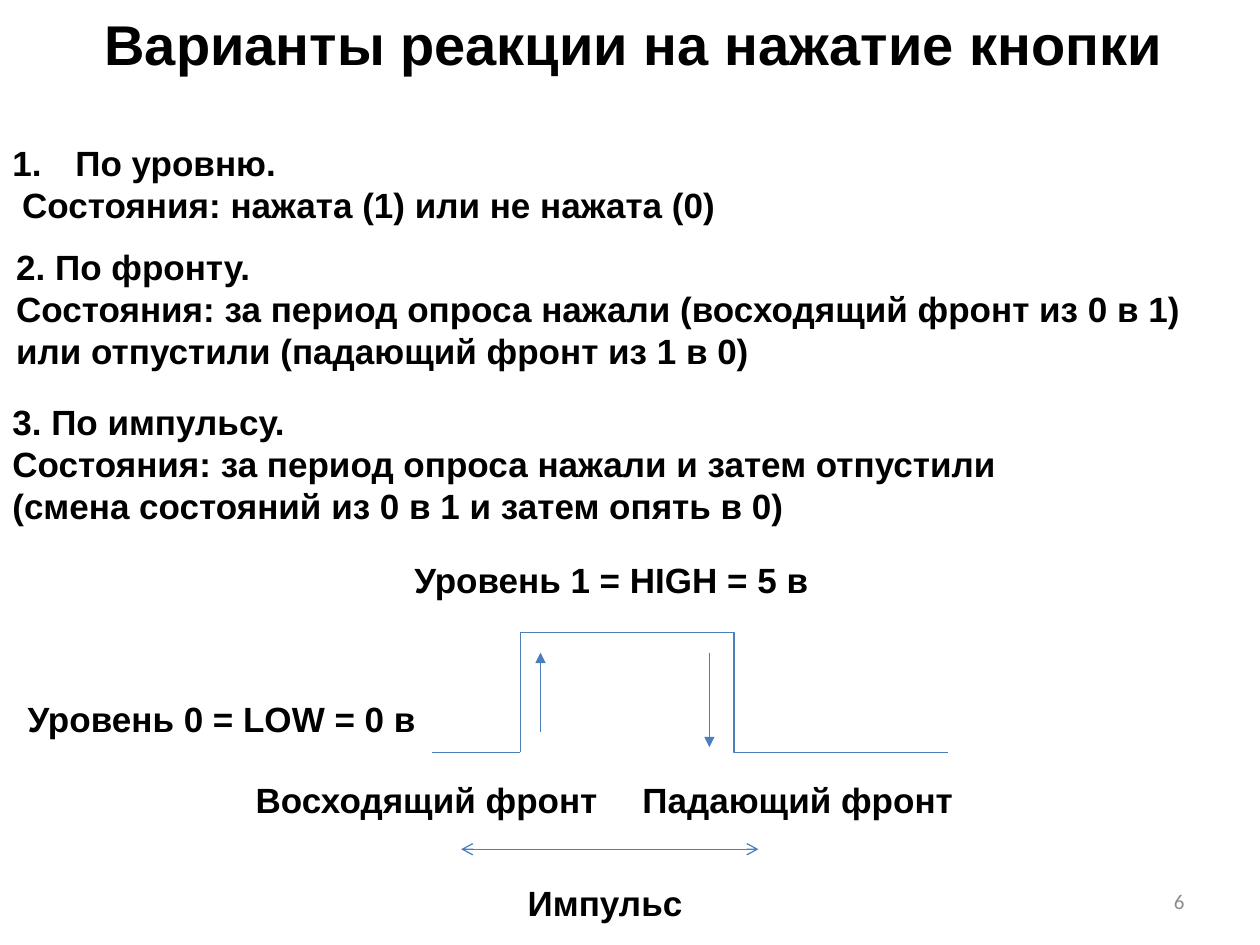
"""Build the slide on ways to react to a button press."""
from dataclasses import dataclass

from lxml import etree
from pptx import Presentation
from pptx.dml.color import RGBColor
from pptx.enum.shapes import MSO_CONNECTOR
from pptx.enum.text import MSO_ANCHOR, PP_ALIGN
from pptx.oxml.ns import qn
from pptx.util import Inches, Pt

LEFT, CENTER, RIGHT = PP_ALIGN.LEFT, PP_ALIGN.CENTER, PP_ALIGN.RIGHT
TOP, MIDDLE = MSO_ANCHOR.TOP, MSO_ANCHOR.MIDDLE
LINE, ELBOW = MSO_CONNECTOR.STRAIGHT, MSO_CONNECTOR.ELBOW
BLACK, GRAY, BLUE = "000000", "8C8C8C", "4B7EBC"
START, RISE, END = 3.43, 4.13, 7.52
HIGH, LOW = 5.02, 5.97


@dataclass
class Label:
    """Text lines with their place and style."""
    box: tuple[float, float, float, float]
    lines: list[str]
    size: int = 20
    color: str = BLACK
    font: str = "Arial"
    bold: bool = True
    align: int = LEFT
    anchor: int = TOP
    number: bool = False


@dataclass
class Wire:
    """A line with optional arrowheads at its ends."""
    start: tuple[float, float]
    end: tuple[float, float]
    kind: int = LINE
    head: str = ""
    tail: str = ""


TITLE = Label((0.03, 0.01, 10, 0.67), ["Варианты реакции на нажатие кнопки"],
              size=32, align=CENTER, anchor=MIDDLE)
LABELS = [
    Label((0, 1.07, 8.7, 0.77),
          ["По уровню.", " Состояния: нажата (1) или не нажата (0)"],
          number=True),
    Label((0.03, 1.9, 9.78, 1.11),
          ["2. По фронту.",
           "Состояния: за период опроса нажали (восходящий фронт из 0 в 1) "
           "или отпустили (падающий фронт из 1 в 0)"]),
    Label((0, 3.13, 10, 1.11),
          ["3. По импульсу.",
           "Состояния: за период опроса нажали и затем отпустили",
           "(смена состояний из 0 в 1 и затем опять в 0)"]),
    Label((3.19, 4.38, 3.47, 0.44), ["Уровень 1 = HIGH = 5 в"]),
    Label((0.12, 5.49, 3.39, 0.44), ["Уровень 0 = LOW = 0 в"]),
    Label((1.93, 6.13, 2.99, 0.44), ["Восходящий фронт"]),
    Label((5, 6.13, 2.91, 0.44), ["Падающий фронт"]),
    Label((4.09, 6.95, 1.5, 0.44), ["Импульс"]),
    Label((7.17, 6.95, 2.33, 0.4), ["6"], size=12, color=GRAY,
          font="Calibri", bold=False, align=RIGHT, anchor=MIDDLE),
]
WIRES = [
    Wire((RISE, HIGH), (END, LOW), kind=ELBOW),
    Wire((RISE, HIGH), (RISE, LOW)),
    Wire((START, LOW), (RISE, LOW)),
    Wire((4.29, 5.81), (4.29, 5.18), tail="triangle"),
    Wire((5.63, 5.18), (5.63, 5.93), tail="triangle"),
    Wire((3.66, 6.74), (6.02, 6.74), head="arrow", tail="arrow"),
]


def paint(form, color: str) -> None:
    """Set a colour format from a hex string."""
    form.rgb = RGBColor.from_string(color)


def add_number(para) -> None:
    """Give a paragraph an automatic number and a hanging indent."""
    props = para._p.get_or_add_pPr()
    props.set("marL", str(Inches(0.5)))
    props.set("indent", str(Inches(-0.5)))
    etree.SubElement(props, qn("a:buAutoNum"), type="arabicPeriod")


def fill_text(shape, label: Label) -> None:
    """Write a label into a shape and style it."""
    shape.left, shape.top, shape.width, shape.height = map(Inches, label.box)
    frame = shape.text_frame
    frame.text = "\n".join(label.lines)
    frame.word_wrap = True
    frame.vertical_anchor = label.anchor
    for i, para in enumerate(frame.paragraphs):
        para.alignment = label.align
        if label.number and i == 0:
            add_number(para)
        font = para.font
        font.size, font.name, font.bold = Pt(label.size), label.font, label.bold
        paint(font.color, label.color)


def add_label(slide, label: Label) -> None:
    """Add a text box for a label."""
    fill_text(slide.shapes.add_textbox(*map(Inches, label.box)), label)


def add_wire(slide, wire: Wire) -> None:
    """Add a thin blue connector."""
    ends = map(Inches, wire.start + wire.end)
    shape = slide.shapes.add_connector(wire.kind, *ends)
    paint(shape.line.color, BLUE)
    shape.line.width = Pt(0.75)
    props = shape._element.spPr
    stroke = props.find(qn("a:ln"))
    for tag, kind in (("a:headEnd", wire.head), ("a:tailEnd", wire.tail)):
        if kind:
            etree.SubElement(stroke, qn(tag), type=kind)
    etree.SubElement(props, qn("a:effectLst"))


def main() -> None:
    """Build and save the slide."""
    deck = Presentation()
    deck.slide_width, deck.slide_height = Inches(10), Inches(7.5)
    slide = deck.slides.add_slide(deck.slide_layouts[5])
    fill_text(slide.shapes.title, TITLE)
    for label in LABELS:
        add_label(slide, label)
    for wire in WIRES:
        add_wire(slide, wire)
    deck.save("out.pptx")


if __name__ == "__main__":
    main()
